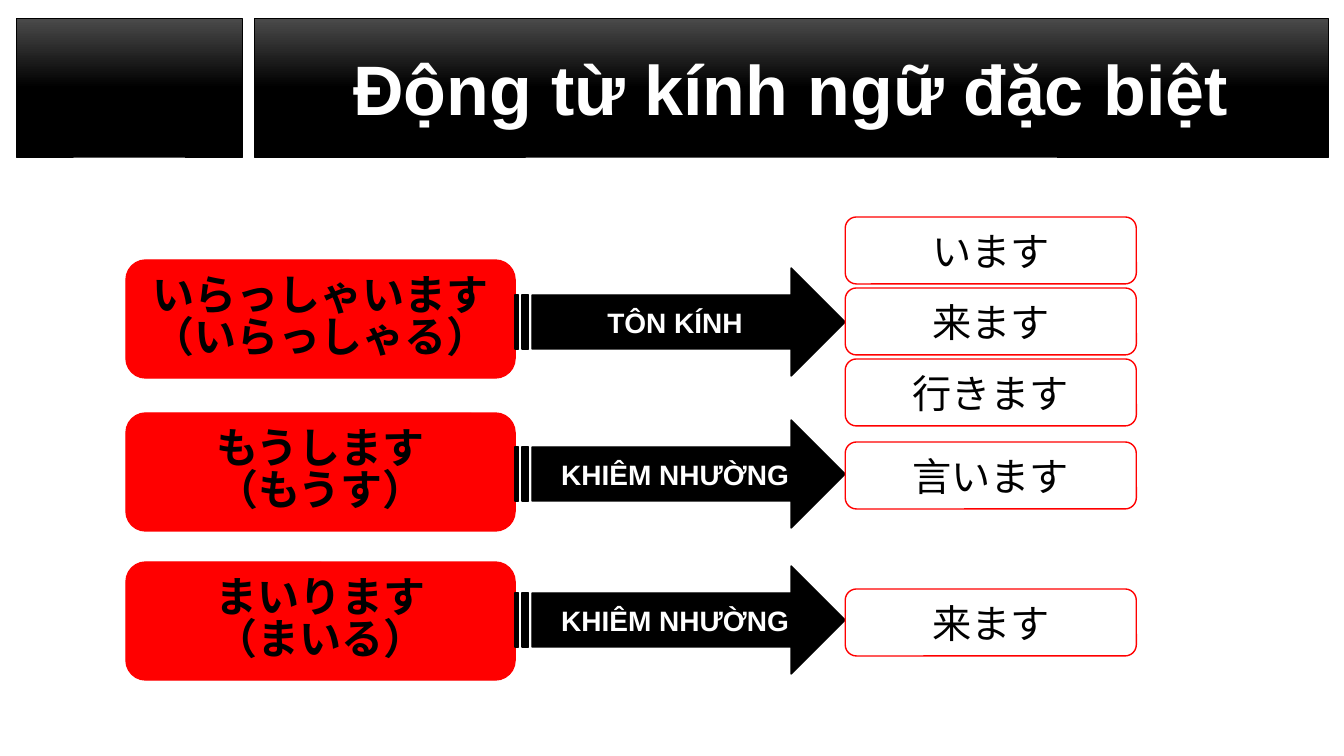
from dataclasses import dataclass

from lxml.etree import SubElement
from pptx import Presentation
from pptx.dml.color import RGBColor
from pptx.enum.shapes import MSO_SHAPE as Shape
from pptx.enum.text import MSO_ANCHOR as Anchor, MSO_AUTO_SIZE as AutoSize, PP_ALIGN as Align
from pptx.oxml.ns import qn
from pptx.util import Emu, Inches, Pt

TITLE = "Động từ kính ngữ đặc biệt"

# verb lines, verb top, arrow label, arrow top, meanings, first meaning top
ROWS = [
    (["いらっしゃいます", "（いらっしゃる）"], 260, "TÔN KÍNH", 268,
     ["います", "来ます", "行きます"], 217),
    (["もうします", "（もうす）"], 413, "KHIÊM NHƯỜNG", 420, ["言います"], 442),
    (["まいります", "（まいる）"], 562, "KHIÊM NHƯỜNG", 566, ["来ます"], 589),
]

# left, width, height
VERB = (126, 389, 118)
ARROW = (515, 330, 108)
MEANING = (845, 291, 67)
MEANING_PITCH = 71
BADGE_BAR = (16, 18, 226, 139)
TITLE_BAR = (254, 18, 1074, 139)


@dataclass(frozen=True)
class Theme:
    black: RGBColor = RGBColor(0x00, 0x00, 0x00)
    grey: RGBColor = RGBColor(0x4B, 0x4B, 0x4B)
    white: RGBColor = RGBColor(0xFF, 0xFF, 0xFF)
    red: RGBColor = RGBColor(0xFF, 0x00, 0x00)
    latin: str = "Arial"
    japanese: str = "Noto Sans CJK JP"
    title_size: int = 50
    verb_size: int = 30
    meaning_size: int = 28
    label_size: int = 20


THEME = Theme()


def px(length):
    return Emu(round(length * 914400 / 100.8))


def outline(shape, color, width):
    shape.line.color.rgb = color
    shape.line.width = Pt(width)


def paint_bar(shape):
    """Give a header bar its grey-to-black gradient and thin line."""
    shape.fill.gradient()
    shape.fill.gradient_angle = 270
    start, end = shape.fill.gradient_stops
    start.color.rgb, start.position = THEME.grey, 0
    end.color.rgb, end.position = THEME.black, 0.5
    outline(shape, THEME.black, 0.5)


def write(shape, lines, size, color, font, bold=True, spacing=None):
    frame = shape.text_frame
    frame.word_wrap = True
    frame.auto_size = AutoSize.NONE
    frame.vertical_anchor = Anchor.MIDDLE
    for index, line in enumerate(lines):
        para = frame.add_paragraph() if index else frame.paragraphs[0]
        para.alignment = Align.CENTER
        para.line_spacing = spacing
        span = para.add_run()
        span.text = line
        span.font.size = Pt(size)
        span.font.bold = bold
        span.font.color.rgb = color
        span.font.name = font
        SubElement(span.font._element, qn("a:ea")).set("typeface", font)


def add_box(slide, kind, left, top, width, height, fill, line):
    box = slide.shapes.add_shape(kind, *map(px, (left, top, width, height)))
    box.shadow.inherit = False
    box.fill.solid()
    box.fill.fore_color.rgb = fill
    outline(box, line, 1)
    return box


def add_header(slide):
    badge = slide.shapes.add_shape(Shape.RECTANGLE, *map(px, BADGE_BAR))
    badge.shadow.inherit = False
    paint_bar(badge)
    title = slide.shapes.title
    title.left, title.top, title.width, title.height = map(px, TITLE_BAR)
    paint_bar(title)
    write(title, [TITLE], THEME.title_size, THEME.white, THEME.latin)


def add_row(slide, verb, verb_top, label, arrow_top, meanings, meaning_top):
    left, width, height = VERB
    box = add_box(slide, Shape.ROUNDED_RECTANGLE, left, verb_top, width, height,
                  THEME.red, THEME.red)
    write(box, verb, THEME.verb_size, THEME.black, THEME.japanese, spacing=0.82)

    left, width, height = ARROW
    arrow = add_box(slide, Shape.STRIPED_RIGHT_ARROW, left, arrow_top, width, height,
                    THEME.black, THEME.black)
    write(arrow, [label], THEME.label_size, THEME.white, THEME.latin)

    left, width, height = MEANING
    for index, meaning in enumerate(meanings):
        box = add_box(slide, Shape.ROUNDED_RECTANGLE, left,
                      meaning_top + index * MEANING_PITCH, width, height,
                      THEME.white, THEME.red)
        write(box, [meaning], THEME.meaning_size, THEME.black, THEME.japanese, bold=False)


def main():
    deck = Presentation()
    deck.slide_width, deck.slide_height = Inches(13.33), Inches(7.5)
    slide = deck.slides.add_slide(deck.slide_layouts[5])
    add_header(slide)
    for row in ROWS:
        add_row(slide, *row)
    deck.save("out.pptx")


if __name__ == "__main__":
    main()
